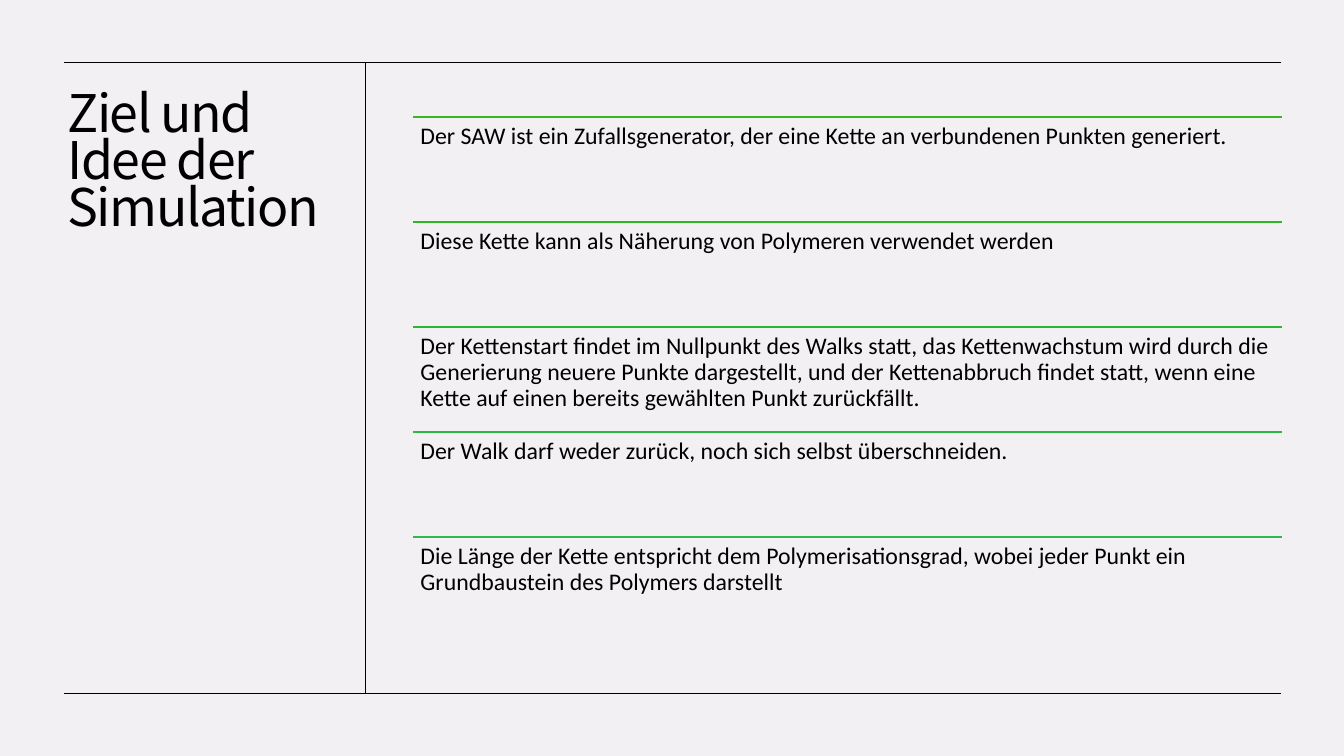
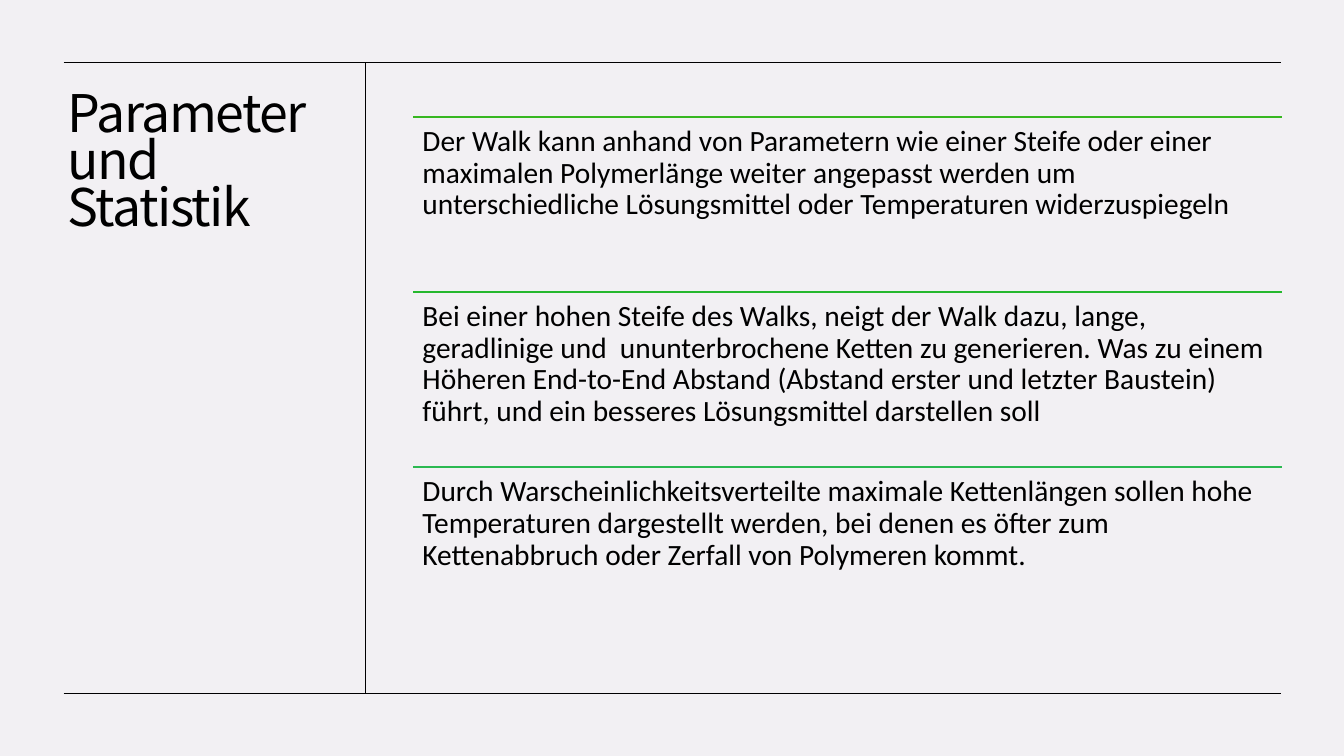
from lxml import etree
from pptx import Presentation
from pptx.dml.color import RGBColor
from pptx.enum.shapes import MSO_CONNECTOR
from pptx.enum.text import MSO_ANCHOR
from pptx.oxml.ns import qn
from pptx.util import Inches, Pt

STRAIGHT = MSO_CONNECTOR.STRAIGHT
TOP = MSO_ANCHOR.TOP

BACKGROUND, INK = "F2F0F3", "000000"
TITLE_FORMAT = {"name": "Noto Sans CJK KR", "size": Pt(37)}

# Frame: outer edges and the divider between title and statements
LEFT, RIGHT, FRAME_TOP, FRAME_BOTTOM, DIVIDER = 0.63, 12.71, 0.62, 6.88, 3.62
FRAME_LINES = [
    (LEFT, FRAME_TOP, RIGHT, FRAME_TOP),
    (DIVIDER, FRAME_TOP, DIVIDER, FRAME_BOTTOM),
    (LEFT, FRAME_BOTTOM, RIGHT, FRAME_BOTTOM),
]
TITLE_BOX = (0.57, 0.9, 2.72, 5.79)

# Area that the statements share in equal rows
LIST_LEFT, LIST_TOP, LIST_WIDTH, LIST_HEIGHT = 4.1, 1.16, 8.62, 5.21

SLIDES = [
    {
        "title": "Ziel und Idee der Simulation",
        "size": 17,
        "inset": 0.07,
        "statements": [
            ("37B720", "Der SAW ist ein Zufallsgenerator, der eine Kette an "
                       "verbundenen Punkten generiert."),
            ("2AB823", "Diese Kette kann als Näherung von Polymeren verwendet werden"),
            ("26B82E", "Der Kettenstart findet im Nullpunkt des Walks statt, das "
                       "Kettenwachstum wird durch die Generierung neuere Punkte "
                       "dargestellt, und der Kettenabbruch findet statt, wenn eine "
                       "Kette auf einen bereits gewählten Punkt zurückfällt."),
            ("29B940", "Der Walk darf weder zurück, noch sich selbst überschneiden."),
            ("2CB951", "Die Länge der Kette entspricht dem Polymerisationsgrad, wobei "
                       "jeder Punkt ein Grundbaustein des Polymers darstellt"),
        ],
    },
    {
        "title": "Parameter und Statistik",
        "size": 21,
        "inset": 0.09,
        "statements": [
            ("37B720", "Der Walk kann anhand von Parametern wie einer Steife oder einer "
                       "maximalen Polymerlänge weiter angepasst werden um "
                       "unterschiedliche Lösungsmittel oder Temperaturen "
                       "widerzuspiegeln"),
            ("26B82E", "Bei einer hohen Steife des Walks, neigt der Walk dazu, lange, "
                       "geradlinige und  ununterbrochene Ketten zu generieren. Was zu "
                       "einem Höheren End-to-End Abstand (Abstand erster und letzter "
                       "Baustein) führt, und ein besseres Lösungsmittel darstellen soll"),
            ("2CB951", "Durch Warscheinlichkeitsverteilte maximale Kettenlängen sollen "
                       "hohe Temperaturen dargestellt werden, bei denen es öfter zum "
                       "Kettenabbruch oder Zerfall von Polymeren kommt."),
        ],
    },
]


def rgb(value):
    return RGBColor.from_string(value)


def add_line(s, ends, color, width):
    line = s.shapes.add_connector(STRAIGHT, *map(Inches, ends))
    line.line.color.rgb = rgb(color)
    line.line.width = Pt(width)
    etree.SubElement(line._element.spPr, qn("a:effectLst"))


def add_text(s, box, text, font, insets, line_spacing):
    """Add a wrapped, top-anchored text box and return its run."""
    tf = s.shapes.add_textbox(*map(Inches, box)).text_frame
    tf.word_wrap = True
    tf.vertical_anchor = TOP
    for side, inset in zip(("left", "top", "right", "bottom"), insets):
        setattr(tf, f"margin_{side}", Inches(inset))
    p = tf.paragraphs[0]
    p.line_spacing = line_spacing
    r = p.add_run()
    r.text = text
    for name, value in font.items():
        setattr(r.font, name, value)
    r.font.color.rgb = rgb(INK)
    return r


def add_title(s, text):
    r = add_text(s, TITLE_BOX, text, TITLE_FORMAT, (0.1, 0.05, 0.1, 0.05), 0.75)
    r._r.get_or_add_rPr().set("spc", "-100")


def add_statements(s, statements, size, inset):
    row = LIST_HEIGHT / len(statements)
    font = {"name": "Calibri", "size": Pt(size)}
    for i, (color, text) in enumerate(statements):
        top = LIST_TOP + i * row
        add_line(s, (LIST_LEFT, top, LIST_LEFT + LIST_WIDTH, top), color, 1)
        add_text(s, (LIST_LEFT, top, LIST_WIDTH, row), text, font, [inset] * 4, 0.9)


def main():
    prs = Presentation()
    prs.slide_width, prs.slide_height = Inches(13.33), Inches(7.5)
    fill = prs.slide_master.background.fill
    fill.solid()
    fill.fore_color.rgb = rgb(BACKGROUND)
    for content in SLIDES:
        s = prs.slides.add_slide(prs.slide_layouts[6])
        add_title(s, content["title"])
        for ends in FRAME_LINES:
            add_line(s, ends, INK, 0.5)
        add_statements(s, content["statements"], content["size"], content["inset"])
    prs.save("out.pptx")


if __name__ == "__main__":
    main()
